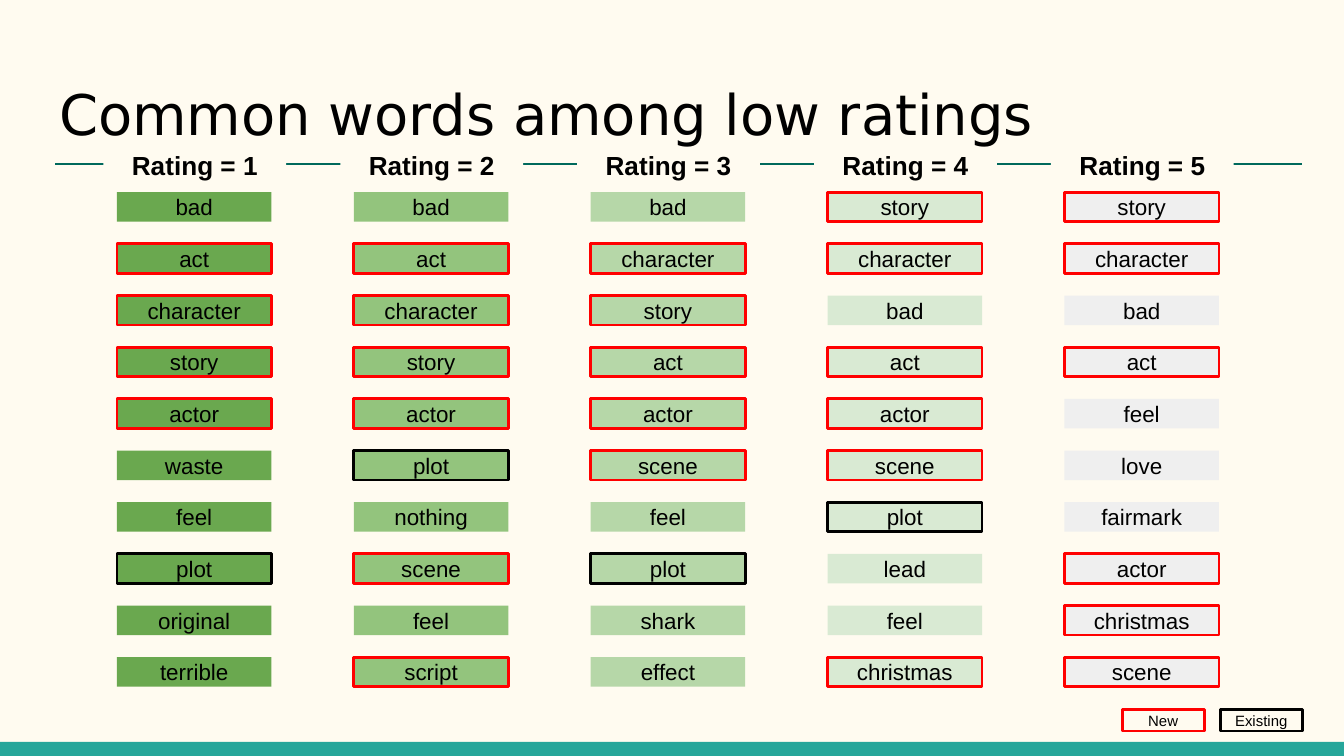
from pptx import Presentation
from pptx.dml.color import RGBColor
from pptx.enum import shapes, text
from pptx.oxml.ns import qn
from pptx.util import Inches, Pt
from lxml import etree

COLORS = {
    "background": "FFFBF0", "footer": "26A69A", "rule": "00695C",
    "text": "000000", "new": "FF0000", "existing": "000000",
}
TITLE = "Common words among low ratings"
COLUMNS = [
    ("Rating = 1", "6AA84F", ["bad", "act", "character", "story", "actor",
                              "waste", "feel", "plot", "original", "terrible"]),
    ("Rating = 2", "93C47D", ["bad", "act", "character", "story", "actor",
                              "plot", "nothing", "scene", "feel", "script"]),
    ("Rating = 3", "B6D7A8", ["bad", "character", "story", "act", "actor",
                              "scene", "feel", "plot", "shark", "effect"]),
    ("Rating = 4", "D9EAD3", ["story", "character", "bad", "act", "actor",
                              "scene", "plot", "lead", "feel", "christmas"]),
    ("Rating = 5", "EFEFEF", ["story", "character", "bad", "act", "feel",
                              "love", "fairmark", "actor", "christmas", "scene"]),
]
NEW_WORDS = {"act", "actor", "character", "story", "scene", "script", "christmas"}
EXISTING_WORDS = {"plot"}
LEGEND = [("New", COLORS["new"]), ("Existing", COLORS["existing"])]

SLIDE_WIDTH = Inches(10)
SLIDE_HEIGHT = SLIDE_WIDTH * 9 // 16
COLUMN_LEFT, COLUMN_STEP = 0.77, 7.05 / 4
ROW_TOP, ROW_STEP = 1.43, 3.46 / 9
WORD_INDENT = 0.1
FRAME = dict(
    margin_left=Inches(0.1), margin_right=Inches(0.1),
    margin_top=Inches(0.1), margin_bottom=Inches(0.1), word_wrap=True,
)


def rgb(value):
    return RGBColor.from_string(value)


def set_attrs(obj, values):
    for name, value in values.items():
        setattr(obj, name, value)


def write(sp, words, size, font="Arial", bold=False,
          align=text.PP_ALIGN.CENTER, anchor=text.MSO_ANCHOR.MIDDLE):
    tf = sp.text_frame
    set_attrs(tf, dict(FRAME, vertical_anchor=anchor, auto_size=text.MSO_AUTO_SIZE.NONE))
    p = tf.paragraphs[0]
    p.alignment = align
    r = p.add_run()
    r.text = words
    set_attrs(r.font, dict(name=font, size=Pt(size), bold=bold))
    r.font.color.rgb = rgb(COLORS["text"])


def add_box(parent, box, fill=None, outline=None):
    sp = parent.shapes.add_shape(shapes.MSO_SHAPE.RECTANGLE, *map(Inches, box))
    sp.shadow.inherit = False
    if fill:
        sp.fill.solid()
        sp.fill.fore_color.rgb = rgb(fill)
    else:
        sp.fill.background()
    if outline:
        sp.line.color.rgb = rgb(outline)
        sp.line.width = Pt(1.5)
    else:
        sp.line.fill.background()
    return sp


def word_outline(word):
    if word in NEW_WORDS:
        return COLORS["new"]
    if word in EXISTING_WORDS:
        return COLORS["existing"]
    return None


def add_column(s, left, heading, fill, words):
    group = s.shapes.add_group_shape()
    header = add_box(group, (left, 1.12, 1.36, 0.21), COLORS["background"])
    write(header, heading, 14, bold=True)
    for row, word in enumerate(words):
        box = (left + WORD_INDENT, ROW_TOP + row * ROW_STEP, 1.15, 0.22)
        write(add_box(group, box, fill, word_outline(word)), word, 12)


def main():
    prs = Presentation()
    prs.slide_width, prs.slide_height = SLIDE_WIDTH, SLIDE_HEIGHT
    s = prs.slides.add_slide(prs.slide_layouts[5])
    s.background.fill.solid()
    s.background.fill.fore_color.rgb = rgb(COLORS["background"])

    title = s.shapes.title
    set_attrs(title, dict(left=Inches(0.34), top=Inches(0.49),
                          width=Inches(9.32), height=Inches(0.67)))
    write(title, TITLE, 30, "DejaVu Sans", align=text.PP_ALIGN.LEFT,
          anchor=text.MSO_ANCHOR.TOP)

    add_box(s, (0, 5.52, 10, 0.11), COLORS["footer"])
    rule = s.shapes.add_connector(shapes.MSO_CONNECTOR.STRAIGHT,
                                  *map(Inches, (0.41, 1.22, 9.69, 1.22)))
    rule.line.color.rgb = rgb(COLORS["rule"])
    rule.line.width = Pt(0.75)
    etree.SubElement(rule._element.spPr, qn("a:effectLst"))

    for i, column in enumerate(COLUMNS):
        add_column(s, COLUMN_LEFT + i * COLUMN_STEP, *column)

    legend = s.shapes.add_group_shape()
    for i, (label, outline) in enumerate(LEGEND):
        box = (8.35 + i * 0.73, 5.28, 0.61, 0.16)
        write(add_box(legend, box, outline=outline), label, 8)

    prs.save("out.pptx")


if __name__ == "__main__":
    main()
